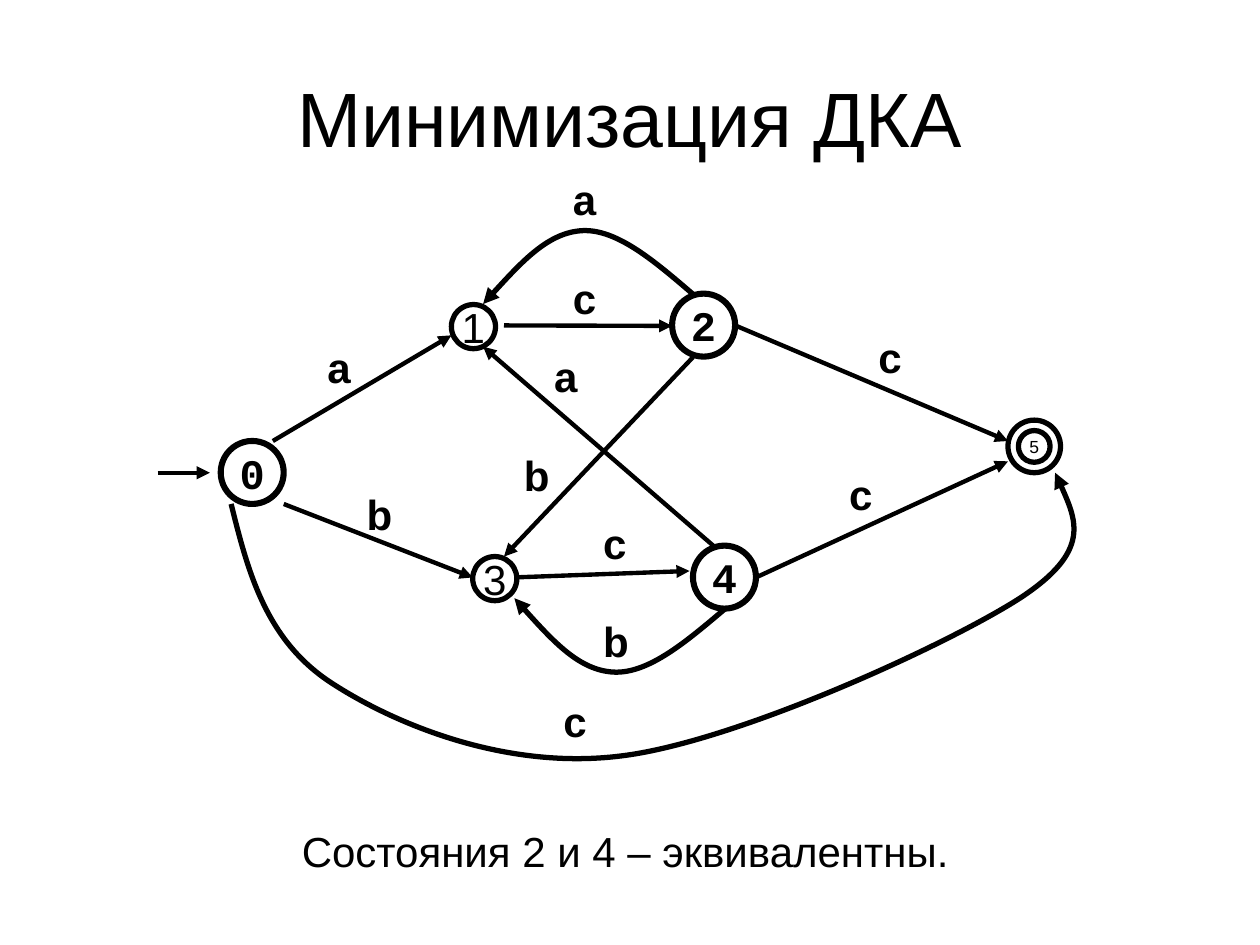
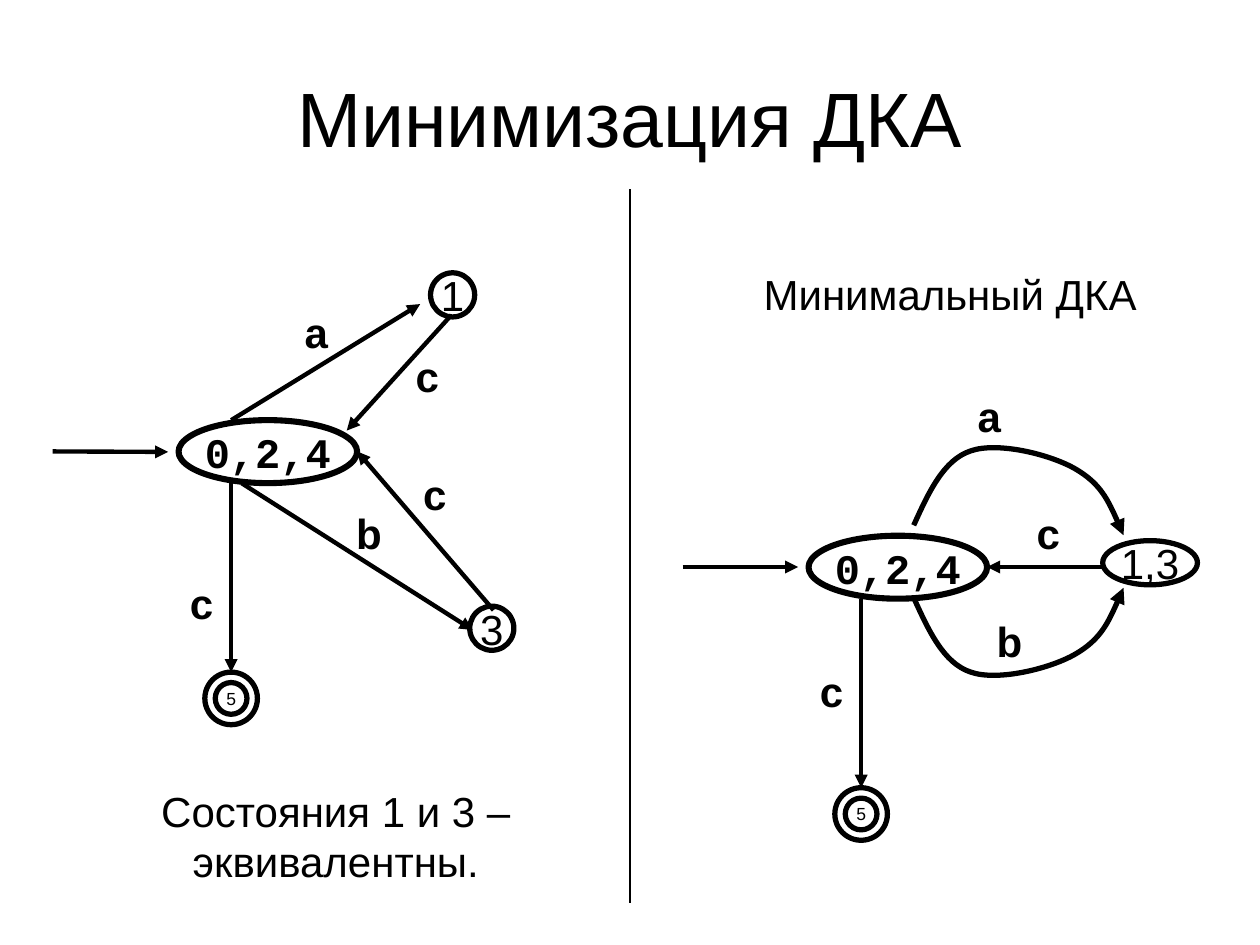
"""Two slides on minimising a deterministic finite automaton."""
from pptx import Presentation
from pptx.dml.color import RGBColor
from pptx.enum.shapes import MSO_CONNECTOR, MSO_SHAPE
from pptx.enum.text import MSO_ANCHOR, PP_ALIGN
from pptx.oxml.ns import qn
from pptx.util import Cm, Pt
from lxml.etree import SubElement

COLORS = {"ink": "000000", "paper": "FFFFFF"}
TITLE = "Минимизация ДКА"
SANS, MONO = "Arial", "Courier New"
RING_INSET, RING_SIZE = 0.21, 0.64
LABEL_W, LABEL_H = 1.07, 1.27

# kind: height, line width, font, size, bold
KINDS = {
    "merged": (1.27, 3.5, MONO, 24, True),
    "plain": (0.89, 3, SANS, 24, False),
    "final": (1.06, 3, SANS, 10, False),
}

upper_arc = [(18.42, 10.59), (18.72, 9.93), (19.02, 9.27), (19.57, 9.09), (20.11, 8.9),
             (21.18, 9.16), (21.69, 9.46), (22.2, 9.76), (22.43, 10.27), (22.65, 10.79)]
lower_arc = [(x, 22.64 - y) for x, y in upper_arc]

SLIDES = [
    {
        "states": [
            ("0", "merged", 4.45, 8.89, 1.27),
            ("2", "merged", 13.55, 5.92, 1.27),
            ("4", "merged", 13.97, 11, 1.27),
            ("5", "final", 20.32, 8.47, 1.06),
            ("1", "plain", 9.1, 6.14, 0.89),
            ("3", "plain", 9.53, 11.22, 0.89),
        ],
        "edges": [
            (3.18, 9.53, 4.23, 9.53),
            (5.5, 8.89, 9.1, 6.76),
            (5.72, 10.16, 9.53, 11.64),
            (10.16, 6.56, 13.55, 6.57),
            (10.37, 11.64, 13.9, 11.51),
            (14.82, 6.56, 20.32, 8.89),
            (15.24, 11.64, 20.32, 9.3),
            (14.39, 11.01, 9.74, 6.99),
            (13.97, 7.2, 10.16, 11.22),
        ],
        "curves": [
            [(4.66, 10.16), (5, 11.53), (5.36, 12.9), (6.67, 13.76), (7.97, 14.61),
             (10.21, 15.53), (12.52, 15.24), (14.83, 14.96), (19.1, 13), (20.56, 12.06),
             (22.01, 11.11), (21.64, 10.32), (21.27, 9.53)],
            [(14.61, 12.28), (13.84, 12.93), (13.08, 13.58), (12.38, 13.55),
             (11.68, 13.52), (11.02, 12.79), (10.37, 12.06)],
            [(13.97, 5.93), (13.2, 5.27), (12.44, 4.62), (11.75, 4.65),
             (11.06, 4.68), (10.4, 5.4), (9.74, 6.13)],
        ],
        "labels": {
            "a": [(6.35, 6.76), (11.3, 3.38), (10.92, 6.93)],
            "b": [(7.14, 9.73), (10.31, 8.94), (11.91, 12.29)],
            "c": [(11.91, 10.31), (11.3, 5.36), (17.46, 6.56), (16.87, 9.32), (11.11, 13.9)],
        },
        "captions": [("Состояния 2 и 4 – эквивалентны.", 3.18, 16.51, 18.85, 1.27)],
        "dividers": [],
    },
    {
        "states": [
            ("0,2,4", "merged", 3.6, 8.47, 3.6),
            ("5", "final", 4.13, 13.55, 1.06),
            ("1", "plain", 8.68, 5.5, 0.89),
            ("3", "plain", 9.47, 12.22, 0.89),
            ("0,2,4", "merged", 16.3, 10.8, 3.6),
            ("5", "final", 16.83, 15.88, 1.06),
            ("1,3", "plain", 22.23, 10.9, 1.91),
        ],
        "edges": [
            (1.06, 9.1, 3.39, 9.11),
            (4.66, 8.47, 8.47, 6.13),
            (9.1, 6.35, 6.99, 8.68),
            (4.87, 9.74, 9.53, 12.7),
            (9.95, 12.3, 7.2, 9.1),
            (4.66, 9.74, 4.66, 13.55),
            (13.76, 11.43, 16.09, 11.43),
            (22.23, 11.43, 19.9, 11.43),
            (17.36, 12.07, 17.36, 15.88),
        ],
        "curves": [upper_arc, lower_arc],
        "labels": {
            "a": [(5.89, 6.05), (19.46, 7.75)],
            "b": [(6.93, 10.11), (19.84, 12.29)],
            "c": [(8.13, 6.93), (8.28, 9.32), (3.58, 11.51), (20.65, 10.11), (16.28, 13.28)],
        },
        "captions": [
            ("Состояния 1 и 3 – эквивалентны.", 0.84, 15.7, 11.86, 2.29),
            ("Минимальный ДКА", 13.34, 5.08, 11.63, 1.7),
        ],
        "dividers": [(12.7, 3.81, 12.7, 18.2)],
    },
]


def write(tf, text, size=24, font=SANS, bold=False, align=PP_ALIGN.CENTER, wrap=True):
    tf.word_wrap = wrap
    tf.vertical_anchor = MSO_ANCHOR.MIDDLE
    p = tf.paragraphs[0]
    p.alignment = align
    r = p.add_run()
    r.text = text
    r.font.size = Pt(size)
    r.font.name = font
    r.font.bold = bold
    r.font.color.rgb = RGBColor.from_string(COLORS["ink"])


def stroke(sp, width, arrow=False):
    sp.line.color.rgb = RGBColor.from_string(COLORS["ink"])
    sp.line.width = Pt(width)
    props = sp._element.spPr
    if arrow:
        SubElement(props.find(qn("a:ln")), qn("a:tailEnd"), type="triangle")
    SubElement(props, qn("a:effectLst"))


prs = Presentation()
prs.slide_width, prs.slide_height = Cm(25.4), Cm(19.05)

for data in SLIDES:
    s = prs.slides.add_slide(prs.slide_layouts[5])
    s.background.fill.solid()
    s.background.fill.fore_color.rgb = RGBColor.from_string(COLORS["paper"])

    title = s.shapes.title
    title.left, title.top, title.width, title.height = Cm(1.27), Cm(0.76), Cm(22.86), Cm(3.18)
    write(title.text_frame, TITLE, size=44)

    for text, kind, x, y, w in data["states"]:
        h, line, font, size, bold = KINDS[kind]
        ovals = [(x, y, w, h)]
        if kind == "final":
            ovals.append((x + RING_INSET, y + RING_INSET, RING_SIZE, RING_SIZE))
        for i, box in enumerate(ovals):
            sp = s.shapes.add_shape(MSO_SHAPE.OVAL, *map(Cm, box))
            sp.fill.background()
            stroke(sp, line)
            if i == 0:
                write(sp.text_frame, text, size, font, bold, wrap=False)

    for group, width, arrow in (("edges", 2.5, True), ("dividers", 0.75, False)):
        for ends in data[group]:
            stroke(s.shapes.add_connector(MSO_CONNECTOR.STRAIGHT, *map(Cm, ends)), width, arrow)

    for points in data["curves"]:
        start, *rest = [(Cm(x), Cm(y)) for x, y in points]
        builder = s.shapes.build_freeform(*start)
        builder.add_line_segments(rest, close=False)
        sp = builder.convert_to_shape()
        sp.fill.background()
        stroke(sp, 3, arrow=True)
        outline = next(sp._element.iter(qn("a:path")))
        segments = outline.findall(qn("a:lnTo"))
        for i in range(0, len(segments), 3):
            bezier = SubElement(outline, qn("a:cubicBezTo"))
            for segment in segments[i:i + 3]:
                bezier.append(segment[0])
                outline.remove(segment)

    for letter, places in data["labels"].items():
        for x, y in places:
            tb = s.shapes.add_textbox(Cm(x), Cm(y), Cm(LABEL_W), Cm(LABEL_H))
            write(tb.text_frame, letter, bold=True, align=PP_ALIGN.LEFT)

    for text, *box in data["captions"]:
        tb = s.shapes.add_textbox(*map(Cm, box))
        write(tb.text_frame, text)

prs.save("out.pptx")
